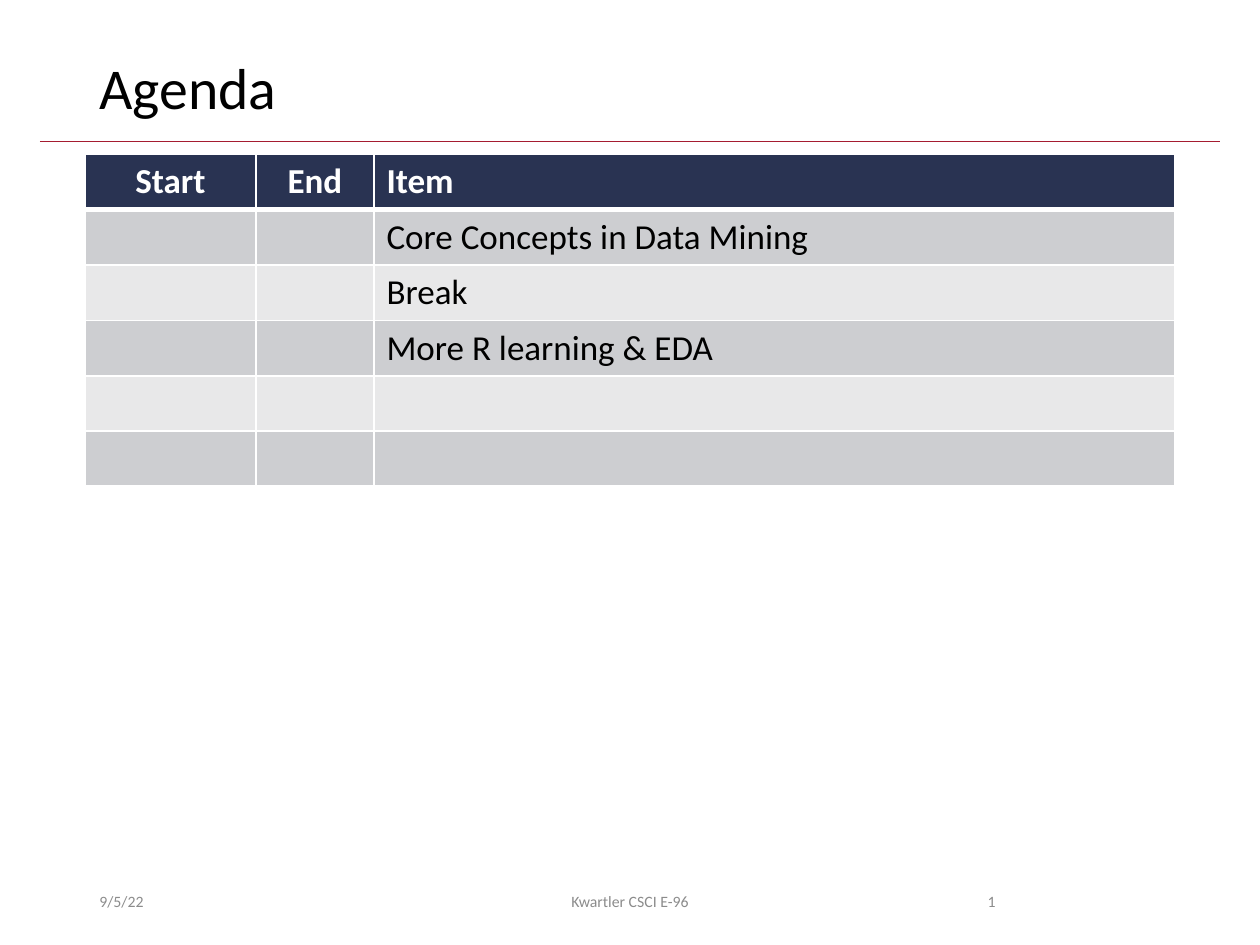
from lxml.etree import SubElement
from pptx import Presentation
from pptx.dml.color import RGBColor
from pptx.enum.shapes import MSO_CONNECTOR as Connector
from pptx.enum.text import MSO_ANCHOR as Anchor, PP_ALIGN as Align
from pptx.oxml.ns import qn
from pptx.util import Emu, Pt

PX_PER_INCH = 126
BLACK, WHITE, NAVY, CRIMSON, GREY = "000000", "FFFFFF", "293352", "A51C30", "8C8C8C"
BANDS = ["CDCED1", "E8E8E9"]


def px(value):
    return Emu(round(value * 914400 / PX_PER_INCH))


def rgb(hex_color):
    return RGBColor.from_string(hex_color)


class AgendaSlide:
    font = "Calibri"

    def __init__(self, deck):
        self.slide = deck.slides.add_slide(deck.slide_layouts[5])
        self.shapes = self.slide.shapes

    def fill_text(self, frame, text, size, color, align=Align.LEFT, bold=False, spacing=None):
        paragraph = frame.paragraphs[0]
        for name, value in {"alignment": align, "line_spacing": spacing}.items():
            setattr(paragraph, name, value)
        run = paragraph.add_run()
        run.text = text
        for name, value in {"name": self.font, "size": Pt(size), "bold": bold}.items():
            setattr(run.font, name, value)
        run.font.color.rgb = rgb(color)

    def title(self, text, box, size):
        heading = self.shapes.title
        for name, value in zip(("left", "top", "width", "height"), box):
            setattr(heading, name, px(value))
        heading.text_frame.vertical_anchor = Anchor.MIDDLE
        self.fill_text(heading.text_frame, text, size, BLACK, spacing=0.9)

    def text(self, text, box, size, color, align):
        frame = self.shapes.add_textbox(*map(px, box)).text_frame
        for name, value in {"word_wrap": True, "vertical_anchor": Anchor.MIDDLE}.items():
            setattr(frame, name, value)
        self.fill_text(frame, text, size, color, align)

    def rule(self, left, right, y, color, width):
        line = self.shapes.add_connector(Connector.STRAIGHT, px(left), px(y), px(right), px(y))
        line.line.color.rgb = rgb(color)
        line.line.width = Pt(width)
        SubElement(line._element.spPr, qn("a:effectLst"))

    def border(self, cell, widths):
        properties = cell._tc.get_or_add_tcPr()
        for position, (side, width) in enumerate(widths.items()):
            edge = SubElement(properties, qn(f"a:ln{side}"), w=str(Pt(width)))
            fill = SubElement(edge, qn("a:solidFill"))
            SubElement(fill, qn("a:srgbClr"), val=WHITE)
            properties.insert(position, edge)

    def table(self, rows, left, top, widths, row_height, size, aligns):
        table = self.shapes.add_table(len(rows), len(widths), px(left), px(top),
                                      px(sum(widths)), px(row_height * len(rows))).table
        table.horz_banding = False
        for column, width in zip(table.columns, widths):
            column.width = px(width)
        for r, texts in enumerate(rows):
            header = r == 0
            for c, text in enumerate(texts):
                cell = table.cell(r, c)
                cell.fill.solid()
                cell.fill.fore_color.rgb = rgb(NAVY if header else BANDS[(r - 1) % 2])
                self.border(cell, {"L": 1, "R": 1, "T": 3 if r == 1 else 1,
                                   "B": 3 if header else 1})
                if text:
                    self.fill_text(cell.text_frame, text, size, WHITE if header else BLACK,
                                   aligns[c], bold=header)


deck = Presentation()
deck.slide_width, deck.slide_height = px(1260), px(945)
agenda = AgendaSlide(deck)

# Heading and rule
agenda.rule(40, 1220, 141, CRIMSON, 0.5)
agenda.title("Agenda", (87, 50, 1086, 82), 33)

# Schedule
items = ["Core Concepts in Data Mining", "Break", "More R learning & EDA", "", ""]
schedule = [("Start", "End", "Item")] + [("", "", item) for item in items]
agenda.table(schedule, 85, 154, [171, 118, 801], 55, 20,
             [Align.CENTER, Align.CENTER, Align.LEFT])

# Footer
for text, left, width, align in [("9/5/22", 87, 283, Align.LEFT),
                                 ("1", 890, 118, Align.RIGHT),
                                 ("Kwartler CSCI E-96", 417, 426, Align.CENTER)]:
    agenda.text(text, (left, 876, width, 50), 9, GREY, align)

deck.save("out.pptx")
